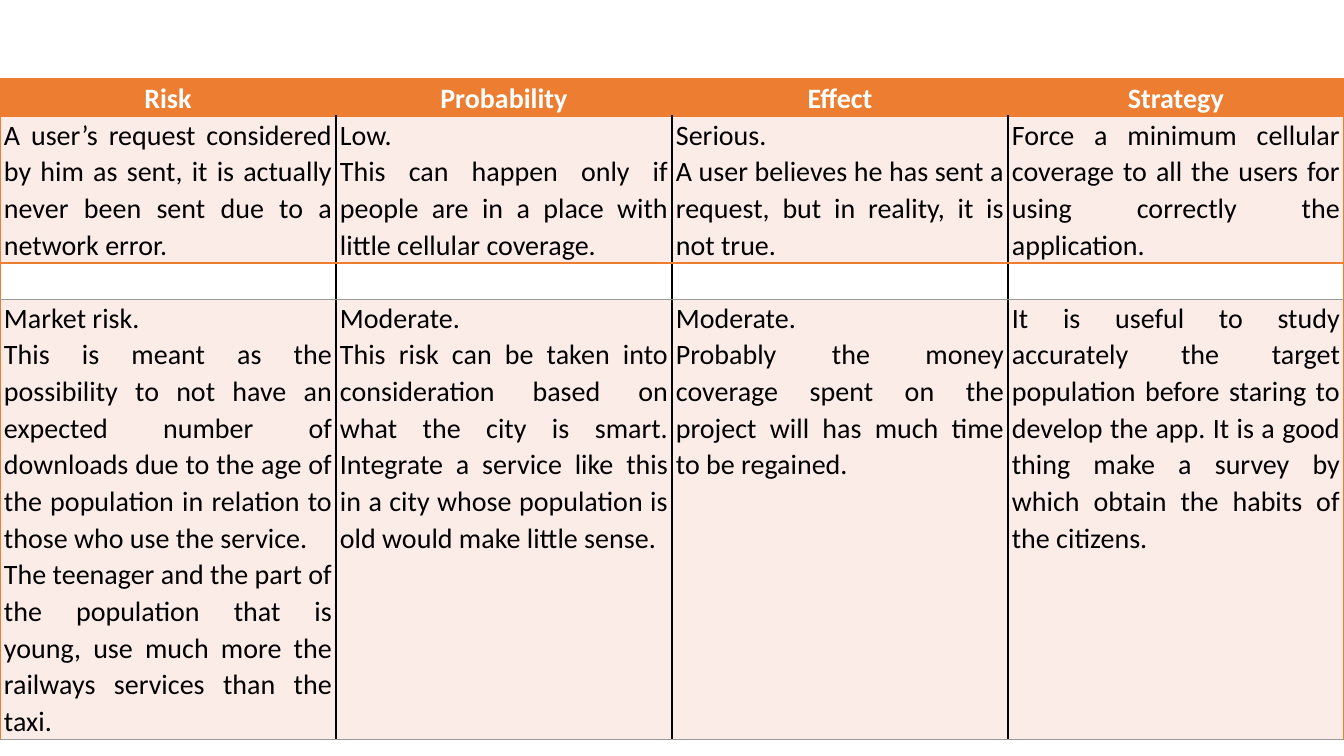
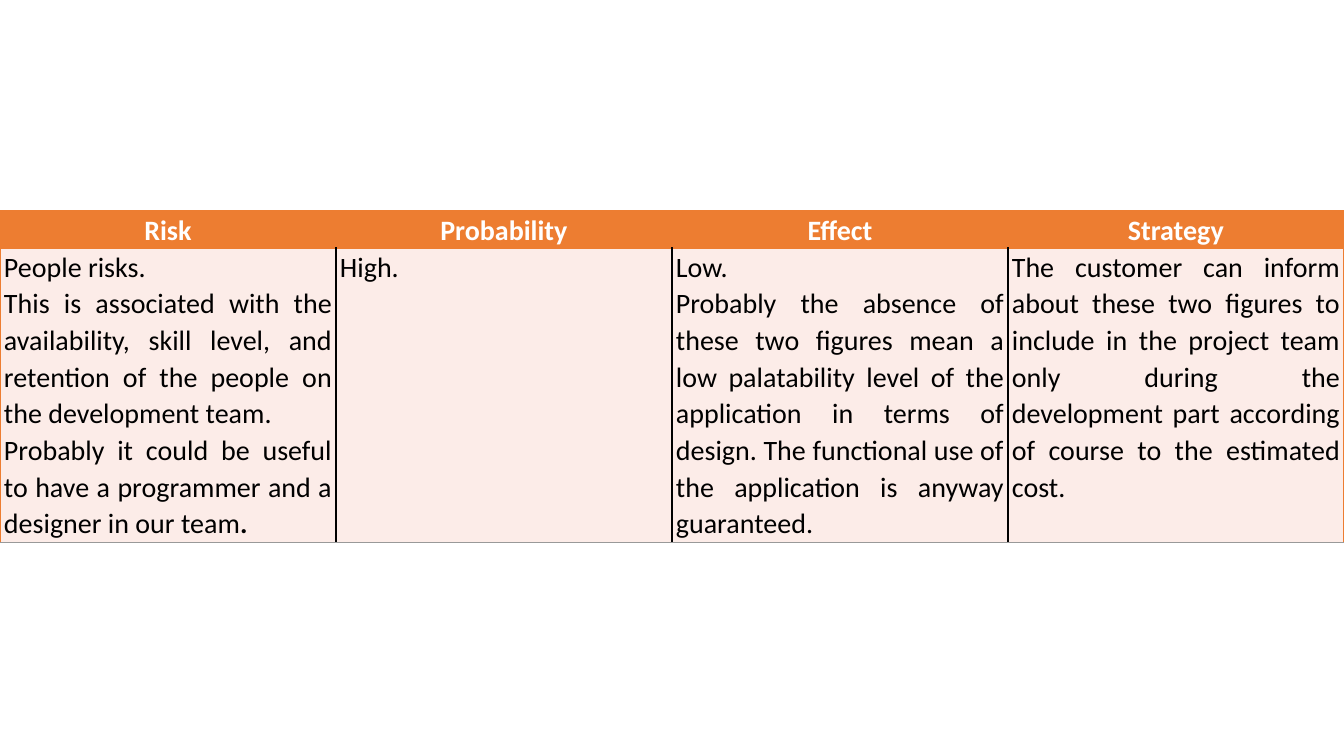
import pptx
import pptx.dml.color
import pptx.enum.text
import pptx.oxml
import pptx.oxml.ns
import pptx.util

PX = 12192000 / 1344
COLORS = {
    "accent": "ED7D31",
    "body": "FCECE8",
    "white": "FFFFFF",
    "black": "000000",
    "grey": "999999",
}
HEADINGS = ["Risk", "Probability", "Effect", "Strategy"]
COLUMN_W = 336
ALIGN = pptx.enum.text.PP_ALIGN


def px(n):
    return pptx.util.Emu(round(n * PX))


def add_border(cell, side, color, width):
    """Draw one side (L, R, T, B); call in that order and before the fill."""
    cell._tc.get_or_add_tcPr().append(pptx.oxml.parse_xml(
        f'<a:ln{side} {pptx.oxml.ns.nsdecls("a")} w="{pptx.util.Pt(width)}">'
        f'<a:solidFill><a:srgbClr val="{COLORS[color]}"/></a:solidFill></a:ln{side}>'))


# Each row: height, kind, bottom line (colour, points), cells as lists of paragraphs
header = (37, "header", ("accent", 1), [[h] for h in HEADINGS])
tables = [
    (79, [
        header,
        (147, "body", ("accent", 1), [
            ["A user’s request considered by him as sent, it is actually never been "
             "sent due to a network error."],
            ["Low.",
             "This can happen only if people are in a place with little cellular coverage."],
            ["Serious.",
             "A user believes he has sent a request, but in reality, it is not true."],
            ["Force a minimum cellular coverage to all the users for using correctly "
             "the application."],
        ]),
        (36, "gap", ("grey", 0.5), [[""]] * len(HEADINGS)),
        (440, "body", ("grey", 0.5), [
            ["Market risk.",
             "This is meant as the possibility to not have an expected number of downloads "
             "due to the age of the population in relation to those who use the service.",
             "The teenager and the part of the population that is young, use much more "
             "the railways services than the taxi."],
            ["Moderate.",
             "This risk can be taken into consideration based on what the city is smart. "
             "Integrate a service like this in a city whose population is old would make "
             "little sense."],
            ["Moderate.",
             "Probably the money coverage spent on the project will has much time "
             "to be regained."],
            ["It is useful to study accurately the target population before staring to "
             "develop the app. It is a good thing make a survey by which obtain the "
             "habits of the citizens."],
        ]),
    ]),
    (211, [
        header,
        (294, "body", ("grey", 0.5), [
            ["People risks.",
             "This is associated with the availability, skill level, and retention of "
             "the people on the development team.",
             "Probably it could be useful to have a programmer and a designer in our team."],
            ["High."],
            ["Low.",
             "Probably the absence of these two figures mean a low palatability level of "
             "the application in terms of design. The functional use of the application "
             "is anyway guaranteed."],
            ["The customer can inform about these two figures to include in the project "
             "team only during the development part according of course to the "
             "estimated cost."],
        ]),
    ]),
]
fills = {"header": "accent", "body": "body", "gap": "white"}
last = len(HEADINGS) - 1

prs = pptx.Presentation()
prs.slide_width, prs.slide_height = px(1344), px(756)

for top, rows in tables:
    s = prs.slides.add_slide(prs.slide_layouts[6])
    table = s.shapes.add_table(
        len(rows), len(HEADINGS), 0, px(top),
        px(COLUMN_W * len(HEADINGS)), px(sum(row[0] for row in rows))).table
    table.first_row = table.horz_banding = False
    for column in table.columns:
        column.width = px(COLUMN_W)

    top_line = ("accent", 1)
    for i, (height, kind, bottom_line, texts) in enumerate(rows):
        table.rows[i].height = px(height)
        is_header = kind == "header"
        inner = "accent" if is_header else "black"
        for j, paragraphs in enumerate(texts):
            cell = table.cell(i, j)
            cell.margin_left = cell.margin_right = px(4)
            cell.margin_top = cell.margin_bottom = 0
            add_border(cell, "L", "accent" if j == 0 else inner, 1)
            add_border(cell, "R", "accent" if j == last else inner, 1)
            add_border(cell, "T", *top_line)
            add_border(cell, "B", *bottom_line)
            cell.fill.solid()
            cell.fill.fore_color.rgb = pptx.dml.color.RGBColor.from_string(
                COLORS[fills[kind]])

            tf = cell.text_frame
            tf.text = "\n".join(paragraphs)
            for p in tf.paragraphs:
                p.alignment = ALIGN.CENTER if is_header else ALIGN.JUSTIFY
                p.line_spacing = 1.07
                p.font.name = "Calibri"
                p.font.size = pptx.util.Pt(20)
                p.font.bold = is_header
                p.font.color.rgb = pptx.dml.color.RGBColor.from_string(
                    COLORS["white" if is_header else "black"])
        top_line = bottom_line

# The full stop that ends the people risk is bold
p = table.cell(1, 0).text_frame.paragraphs[-1]
r = p.runs[0]
r.text = r.text.removesuffix(".")
r = p.add_run()
r.text = "."
r.font.bold = True

prs.save("out.pptx")
